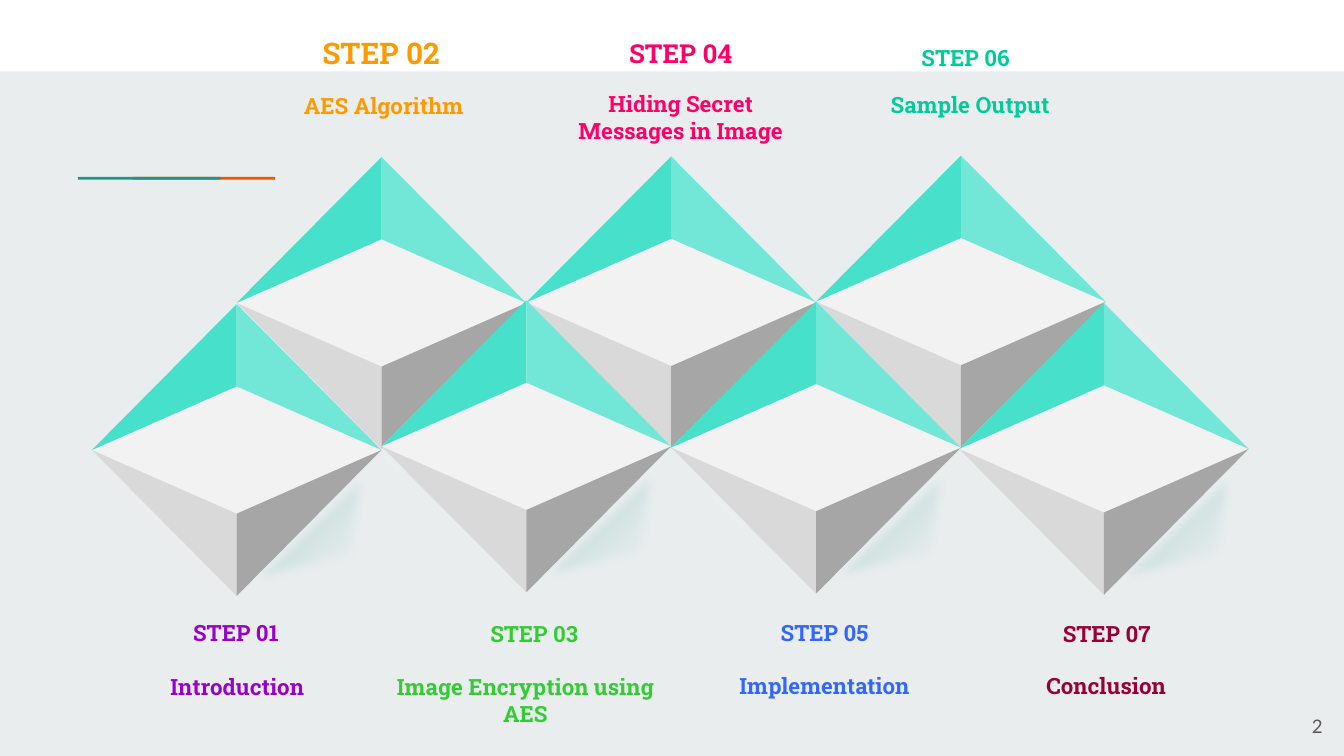
from dataclasses import dataclass

import pptx
import pptx.dml.color
import pptx.enum.shapes
import pptx.enum.text
import pptx.oxml
import pptx.oxml.ns
import pptx.util

Pt = pptx.util.Pt
Align = pptx.enum.text.PP_ALIGN
Anchor = pptx.enum.text.MSO_ANCHOR
Preset = pptx.enum.shapes.MSO_SHAPE


@dataclass(frozen=True)
class Theme:
    background: str = "E9EDEE"
    band: str = "FFFFFF"
    teal: str = "1A9988"
    orange: str = "EB5600"
    top_face: str = "F2F2F2"
    upper_left: str = "47E0CB"
    upper_right: str = "72E7D7"
    lower_left: str = "D9D9D9"
    lower_right: str = "A6A6A6"
    number: str = "595959"
    heading_font: str = "Roboto Slab"
    number_font: str = "Lato"
    body_size: float = 12
    number_size: float = 10


THEME = Theme()

# Pyramid geometry, measured from its centre
HALF = 77.6
APEX = 78.2
RIDGE = 34.1


@dataclass(frozen=True)
class Label:
    text: str
    center: float
    top: float
    width: float
    height: float = 21.6
    size: float = THEME.body_size


@dataclass(frozen=True)
class Step:
    x: float
    y: float
    color: str
    heading: Label
    caption: Label
    casts_shadow: bool = True


# Drawing order: back row first, then front row
STEPS = [
    Step(204.4, 162.3, "FF9900", Label("STEP 02", 204.1, 15.1, 96, 26.6, 16),
         Label("AES Algorithm", 205.6, 46.1, 107.3), False),
    Step(359.6, 162, "FF0066", Label("STEP 04", 364.7, 16.6, 96, 24.5, 14),
         Label("Hiding Secret Messages in Image", 364.7, 44.6, 139, 36), False),
    Step(514.8, 161.6, "00CC99", Label("STEP 06", 517.3, 20.2, 96),
         Label("Sample Output", 519.8, 45.4, 172.8), False),
    Step(126.8, 241.1, "9900CC", Label("STEP 01", 126.4, 328.3, 96),
         Label("Introduction", 127.1, 357.1, 118.8)),
    Step(282, 239.1, "33CC33", Label("STEP 03", 286.2, 328.5, 96),
         Label("Image Encryption using AES", 281.5, 357.1, 154, 36)),
    Step(437.2, 239.8, "3366FF", Label("STEP 05", 441.7, 328.3, 96),
         Label("Implementation", 441.7, 356.4, 123)),
    Step(591.4, 240.5, "990033", Label("STEP 07", 592.9, 328.5, 96),
         Label("Conclusion", 592.6, 356.4, 98)),
]


def rgb(color: str) -> pptx.dml.color.RGBColor:
    return pptx.dml.color.RGBColor.from_string(color)


def paint(shape, color: str) -> None:
    shape.shadow.inherit = False
    shape.fill.solid()
    shape.fill.fore_color.rgb = rgb(color)
    shape.line.fill.background()


def add_preset(shapes, kind, left: float, top: float, width: float, height: float, color: str) -> None:
    paint(shapes.add_shape(kind, Pt(left), Pt(top), Pt(width), Pt(height)), color)


def add_polygon(shapes, points: list[tuple[float, float]], color: str):
    corners = [(Pt(x), Pt(y)) for x, y in points]
    builder = shapes.build_freeform(*corners[0], scale=1.0)
    builder.add_line_segments(corners[1:], close=True)
    shape = builder.convert_to_shape()
    paint(shape, color)
    return shape


def add_pyramid(page, x: float, y: float) -> None:
    shapes = page.shapes.add_group_shape().shapes
    add_preset(shapes, Preset.DIAMOND, x - HALF, y - HALF, 2 * HALF, 2 * HALF, THEME.top_face)
    faces = [(-1, -1, THEME.upper_left), (1, -1, THEME.upper_right),
             (-1, 1, THEME.lower_left), (1, 1, THEME.lower_right)]
    for side, row, color in faces:
        add_polygon(shapes, [(x, y + row * RIDGE), (x, y + row * APEX), (x + side * HALF, y)], color)


def add_cast_shadow(page, x: float, y: float) -> None:
    shape = add_polygon(page.shapes, [(x - 9.4, y + 80.3), (x + 73.9, y + 0.3), (x + 65.5, y + 60.3)],
                        THEME.teal)
    properties = shape.fill._xPr
    solid = properties.find(pptx.oxml.ns.qn("a:solidFill"))
    namespace = pptx.oxml.ns.nsdecls("a")
    gradient = pptx.oxml.parse_xml(
        f'<a:gradFill {namespace}><a:gsLst>'
        f'<a:gs pos="28000"><a:srgbClr val="{THEME.teal}"><a:alpha val="34000"/></a:srgbClr></a:gs>'
        f'<a:gs pos="100000"><a:srgbClr val="{THEME.top_face}"><a:alpha val="0"/></a:srgbClr></a:gs>'
        f'</a:gsLst><a:lin ang="2700000" scaled="0"/></a:gradFill>')
    properties.replace(solid, gradient)
    effects = properties.find(pptx.oxml.ns.qn("a:effectLst"))
    effects.append(pptx.oxml.parse_xml(f'<a:softEdge {namespace} rad="{Pt(5)}"/>'))


def add_text(page, label: Label, color: str, font: str, bold: bool, align):
    box = page.shapes.add_textbox(Pt(label.center - label.width / 2), Pt(label.top),
                                  Pt(label.width), Pt(label.height))
    frame = box.text_frame
    frame.text = label.text
    frame.word_wrap = True
    para = frame.paragraphs[0]
    para.alignment = align
    span = para.runs[0]
    span.font.name = font
    span.font.size = Pt(label.size)
    span.font.bold = bold
    span.font.color.rgb = rgb(color)
    return frame


def main() -> None:
    deck = pptx.Presentation()
    deck.slide_width, deck.slide_height = Pt(720), Pt(405)
    page = deck.slides.add_slide(deck.slide_layouts[6])

    # Background, top band and accent line
    page.background.fill.solid()
    page.background.fill.fore_color.rgb = rgb(THEME.background)
    add_preset(page.shapes, Preset.RECTANGLE, 0, 0, 720, 38.3, THEME.band)
    for left, color in [(71.1, THEME.orange), (41.8, THEME.teal)]:
        add_preset(page.shapes, Preset.RECTANGLE, left, 94.7, 76.3, 1.5, color)

    # Pyramids and the shadows of the front row
    for step in STEPS:
        add_pyramid(page, step.x, step.y)
    for step in STEPS:
        if step.casts_shadow:
            add_cast_shadow(page, step.x, step.y)

    # Step headings and captions
    for step in STEPS:
        for label in (step.heading, step.caption):
            frame = add_text(page, label, step.color, THEME.heading_font, True, Align.CENTER)
            frame.auto_size = pptx.enum.text.MSO_AUTO_SIZE.SHAPE_TO_FIT_TEXT

    # Page number
    number = Label("2", 694.1, 373.7, 43.2, 31, THEME.number_size)
    frame = add_text(page, number, THEME.number, THEME.number_font, False, Align.RIGHT)
    frame.vertical_anchor = Anchor.MIDDLE
    frame.margin_left = frame.margin_right = frame.margin_top = frame.margin_bottom = Pt(7.2)

    deck.save("out.pptx")


if __name__ == "__main__":
    main()
